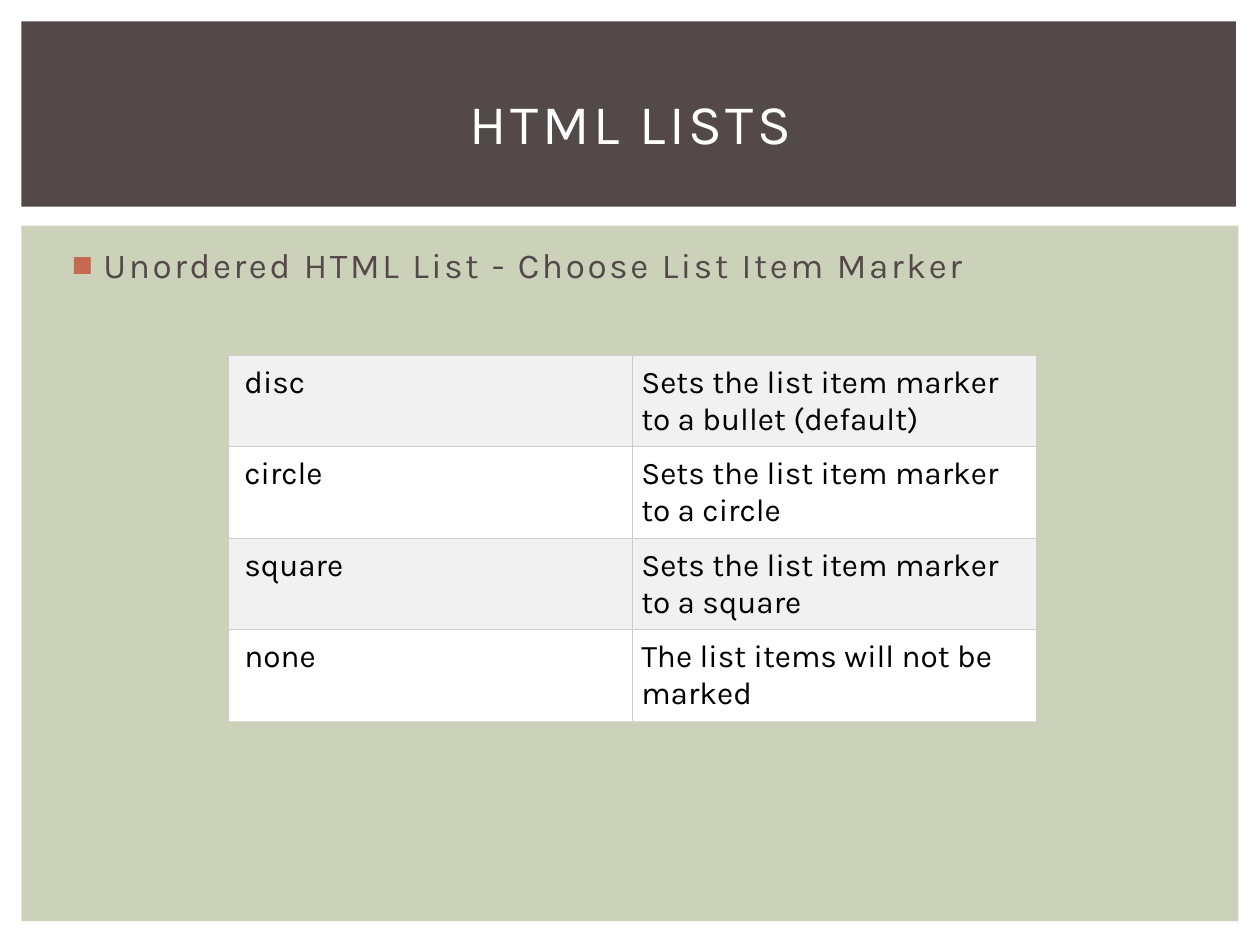
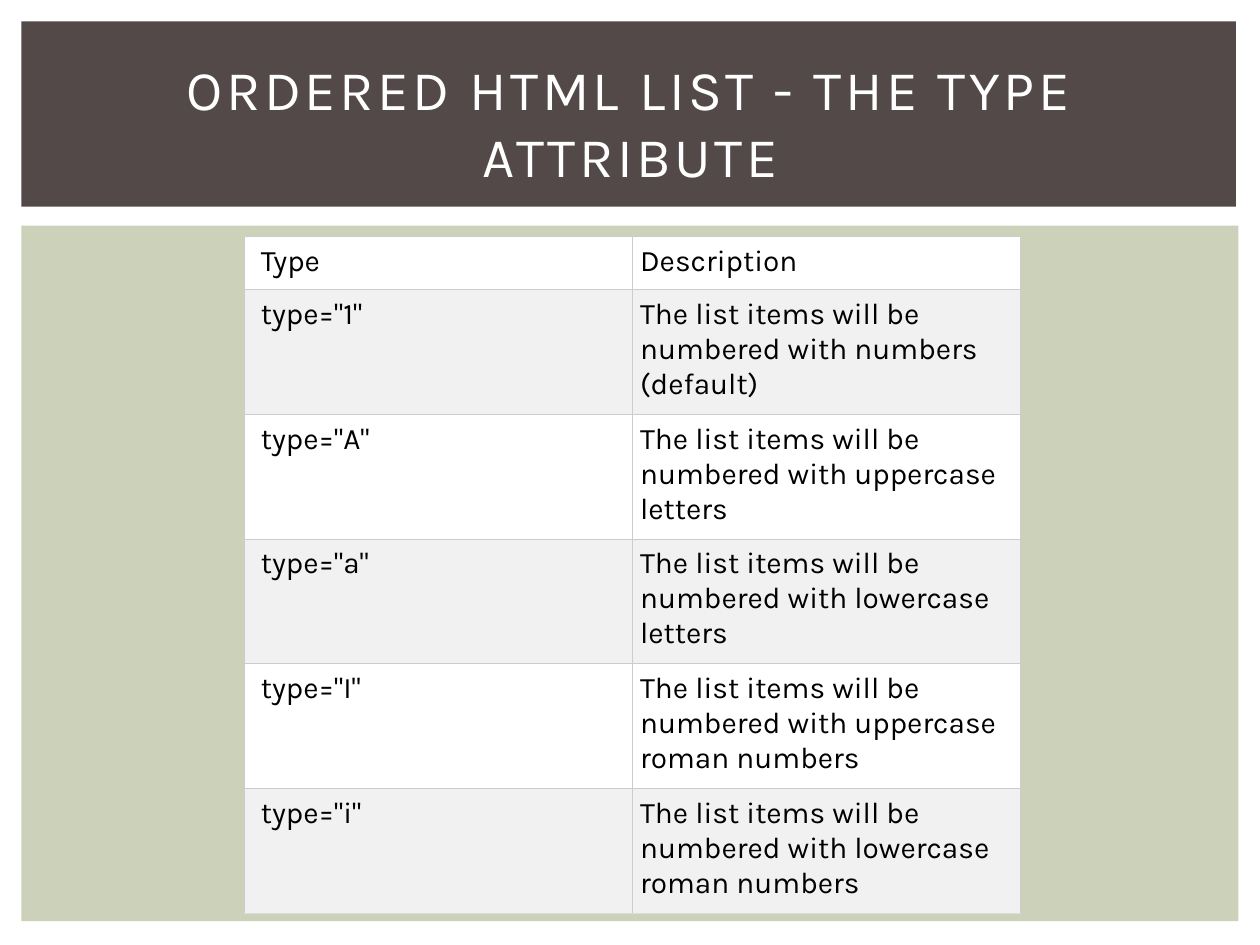
import pptx
import pptx.dml.color
import pptx.enum.shapes
import pptx.enum.text
import pptx.oxml
import pptx.oxml.ns
import pptx.util

Inches = pptx.util.Inches
Pt = pptx.util.Pt

# Shared style
FONT = "Karla"
BROWN, GREEN, RUST = "534949", "CCD1B9", "C66951"
WHITE, BLACK, GREY = "FFFFFF", "000000", "F1F1F1"
RULE, LAST_RULE = "CCCCCC", "DDDDDD"
RULE_WIDTH = 0.6
TITLE_AND_BODY, TITLE_ONLY = 1, 5


def color(value):
    return pptx.dml.color.RGBColor.from_string(value)


def element(xml):
    """Parse one DrawingML element, written without its namespace."""
    namespace = pptx.oxml.ns.nsdecls("a")
    head, rest = xml.split(" ", 1)
    return pptx.oxml.parse_xml(f"{head} {namespace} {rest}")


class Deck:
    def __init__(self):
        self.presentation = pptx.Presentation()
        self.presentation.slide_width = Inches(10)
        self.presentation.slide_height = Inches(7.5)
        self.slide = None

    def add_slide(self, layout, title):
        layouts = self.presentation.slide_layouts
        self.slide = self.presentation.slides.add_slide(layouts[layout])
        self.slide.background.fill.solid()
        self.slide.background.fill.fore_color.rgb = color(WHITE)
        self.band(0.17, 0.17, 9.64, 1.47, BROWN)
        self.band(0.17, 1.79, 9.66, 5.52, GREEN)
        self.title(title)

    def band(self, left, top, width, height, fill):
        shape = self.slide.shapes.add_shape(
            pptx.enum.shapes.MSO_SHAPE.RECTANGLE,
            Inches(left), Inches(top), Inches(width), Inches(height))
        shape.shadow.inherit = False
        shape.fill.solid()
        shape.fill.fore_color.rgb = color(fill)
        shape.line.fill.background()
        # Bands lie behind the placeholders
        tree = shape.element.getparent()
        tree.remove(shape.element)
        tree.insert(2, shape.element)

    def place(self, shape, left, top, width, height, anchor):
        shape.left, shape.top = Inches(left), Inches(top)
        shape.width, shape.height = Inches(width), Inches(height)
        frame = shape.text_frame
        frame.word_wrap = True
        frame.auto_size = pptx.enum.text.MSO_AUTO_SIZE.NONE
        frame.vertical_anchor = anchor
        return frame

    def run(self, paragraph, text, size, text_color, spacing=0):
        run = paragraph.add_run()
        run.text = text
        run.font.name = FONT
        run.font.size = Pt(size)
        run.font.color.rgb = color(text_color)
        if spacing:
            run.font._element.set("spc", str(int(spacing * 100)))

    def title(self, text):
        frame = self.place(self.slide.shapes.title, 0.42, 0.39, 9.17, 1.15,
                           pptx.enum.text.MSO_ANCHOR.MIDDLE)
        paragraph = frame.paragraphs[0]
        paragraph.alignment = pptx.enum.text.PP_ALIGN.CENTER
        self.run(paragraph, text, 32, WHITE, spacing=2)

    def bullet(self, text):
        frame = self.place(self.slide.placeholders[1], 0.42, 1.88, 9.19, 5.37,
                           pptx.enum.text.MSO_ANCHOR.TOP)
        paragraph = frame.paragraphs[0]
        paragraph.space_before = Pt(4)
        properties = paragraph._p.get_or_add_pPr()
        properties.set("marL", str(Inches(0.3)))
        properties.set("indent", str(Inches(-0.25)))
        properties.append(element(
            f'<a:buClr ><a:srgbClr val="{RUST}"/></a:buClr>'))
        properties.append(element('<a:buFont typeface="Arial"/>'))
        properties.append(element('<a:buChar char="\u25a0"/>'))
        self.run(paragraph, text, 20, BROWN, spacing=1.5)

    def table(self, rows, left, top, column_width, heights, size, inset, fills):
        """Two equal columns; fills alternate from the first row down."""
        frame = self.slide.shapes.add_table(
            len(rows), 2, Inches(left), Inches(top),
            Inches(2 * column_width), Inches(sum(heights)))
        table = frame.table
        table.first_row = False
        table.horz_banding = False
        for column in table.columns:
            column.width = Inches(column_width)
        for index, texts in enumerate(rows):
            table.rows[index].height = Inches(heights[index])
            bottom = LAST_RULE if index == len(rows) - 1 else RULE
            for position, text in enumerate(texts):
                cell = table.cell(index, position)
                cell.margin_left = Inches(inset if position else 0.13)
                cell.margin_right = Inches(inset)
                cell.margin_top = cell.margin_bottom = Inches(inset)
                cell.fill.solid()
                cell.fill.fore_color.rgb = color(fills[index % 2])
                self.borders(cell, bottom)
                self.run(cell.text_frame.paragraphs[0], text, size, BLACK)

    def borders(self, cell, bottom):
        properties = cell._tc.get_or_add_tcPr()
        sides = (("L", RULE), ("R", RULE), ("T", RULE), ("B", bottom))
        for order, (side, line_color) in enumerate(sides):
            properties.insert(order, element(
                f'<a:ln{side} w="{Pt(RULE_WIDTH)}"><a:solidFill>'
                f'<a:srgbClr val="{line_color}"/></a:solidFill></a:ln{side}>'))


deck = Deck()

# Slide 1: markers of unordered lists
deck.add_slide(TITLE_AND_BODY, "HTML LISTS")
deck.bullet("Unordered HTML List - Choose List Item Marker")
markers = [
    ("disc", "Sets the list item marker to a bullet (default)"),
    ("circle", "Sets the list item marker to a circle"),
    ("square", "Sets the list item marker to a square"),
    ("none", "The list items will not be marked"),
]
deck.table(markers, 1.81, 2.82, 3.21, [0.72] * 4,
           size=18, inset=0.07, fills=(GREY, WHITE))

# Slide 2: numbering types of ordered lists
deck.add_slide(TITLE_ONLY, "ORDERED HTML LIST - THE TYPE ATTRIBUTE")
numberings = [
    ("1", "numbers (default)"),
    ("A", "uppercase letters"),
    ("a", "lowercase letters"),
    ("I", "uppercase roman numbers"),
    ("i", "lowercase roman numbers"),
]
types = [("Type", "Description")] + [
    (f'type="{mark}"', f"The list items will be numbered with {style}")
    for mark, style in numberings]
deck.table(types, 1.94, 1.88, 3.08, [0.42] + [0.99] * 5,
           size=17, inset=0.06, fills=(WHITE, GREY))

deck.presentation.save("out.pptx")
